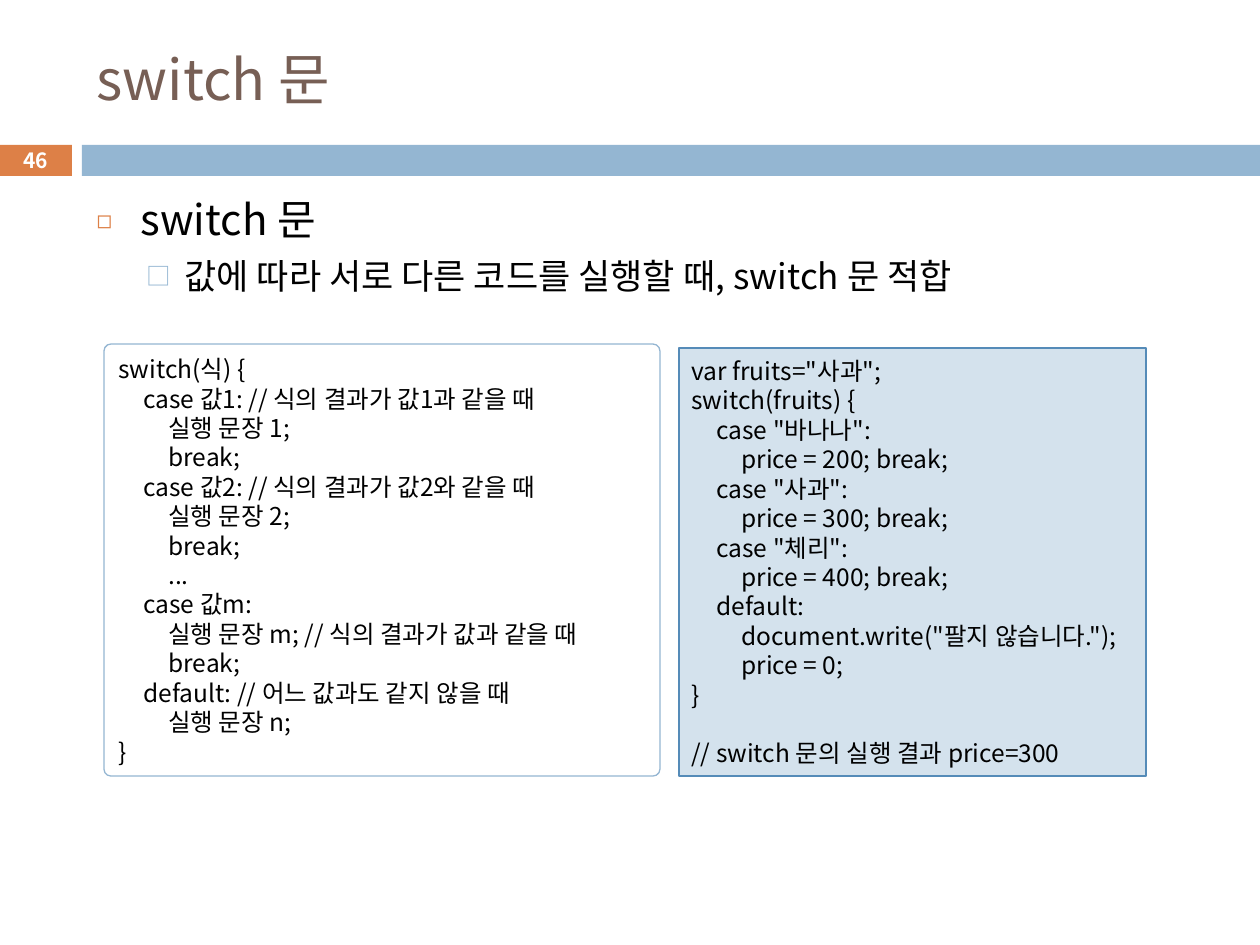
"""Build a slide that explains the switch statement with two code boxes."""
from lxml import etree
from pptx import Presentation
from pptx import util as u
from pptx.dml.color import RGBColor
from pptx.enum import shapes, text
from pptx.oxml import ns

FONT = "Noto Sans CJK KR"


def px(*values):
    return [u.Emu(round(v * 914400 / 126)) for v in values]


def style(tf, size, color="000000", bold=False):
    for p in tf.paragraphs:
        for r in p.runs:
            r.font.name, r.font.size, r.font.bold = FONT, u.Pt(size), bold
            r.font.color.rgb = RGBColor.from_string(color)
            etree.SubElement(r.font._element, ns.qn("a:ea"), typeface=FONT)


prs = Presentation()
prs.slide_width, prs.slide_height = px(1260, 945)
s = prs.slides.add_slide(prs.slide_layouts[1])

title, body = s.placeholders
title.left, title.top, title.width, title.height = px(84, 32, 1124, 93)
body.left, body.top, body.width, body.height = px(84, 185, 1124, 694)

tf = title.text_frame
tf.text = "switch 문"
tf.auto_size = text.MSO_AUTO_SIZE.NONE
tf.vertical_anchor = text.MSO_ANCHOR.MIDDLE
tf.paragraphs[0].alignment = text.PP_ALIGN.LEFT
style(tf, 32, "775F55")

tf = body.text_frame
tf.text = "switch 문\n값에 따라 서로 다른 코드를 실행할 때, switch 문 적합"
tf.auto_size = text.MSO_AUTO_SIZE.NONE
style(tf, 24)
bullets = [
    (0, 24, 30, 7, 44, 44, "◻", "DD8047", 60),
    (1, 20, 24.5, 5.5, 88, 38, "□", "94B6D2", 70),
]
for p, (level, size, line, before, margin, hang, char, color, percent) in zip(tf.paragraphs, bullets):
    p.level, p.line_spacing, p.space_before = level, u.Pt(line), u.Pt(before)
    p.runs[0].font.size = u.Pt(size)
    ppr = p._p.get_or_add_pPr()
    left, indent = px(margin, -hang)
    ppr.set("marL", str(left))
    ppr.set("indent", str(indent))
    clr = etree.SubElement(ppr, ns.qn("a:buClr"))
    etree.SubElement(clr, ns.qn("a:srgbClr"), val=color)
    etree.SubElement(ppr, ns.qn("a:buSzPct"), val=str(percent * 1000))
    etree.SubElement(ppr, ns.qn("a:buFont"), typeface=FONT)
    etree.SubElement(ppr, ns.qn("a:buChar"), char=char)

for left, width, color in [(-1, 73, "DD8047"), (82, 1178, "94B6D2")]:
    sp = s.shapes.add_shape(shapes.MSO_SHAPE.RECTANGLE, *px(left, 145, width, 31))
    sp.shadow.inherit = False
    sp.fill.solid()
    sp.fill.fore_color.rgb = RGBColor.from_string(color)
    sp.line.fill.background()

syntax = """switch(식) {
\tcase 값1: // 식의 결과가 값1과 같을 때
\t\t실행 문장 1;
\t\tbreak;
\tcase 값2: // 식의 결과가 값2와 같을 때
\t\t실행 문장 2;
\t\tbreak;
\t\t...
\tcase 값m:
\t\t실행 문장 m; // 식의 결과가 값과 같을 때
\t\tbreak;
\tdefault: // 어느 값과도 같지 않을 때
\t\t실행 문장 n;
}"""
example = """var fruits="사과";
switch(fruits) {
\tcase "바나나":
\t\tprice = 200; break;
\tcase "사과":
\t\tprice = 300; break;
\tcase "체리":
\t\tprice = 400; break;
\tdefault:
\t\tdocument.write("팔지 않습니다.");
\t\tprice = 0;
}

// switch 문의 실행 결과 price=300"""
boxes = [
    (shapes.MSO_SHAPE.ROUNDED_RECTANGLE, (104, 344, 556, 432), None, "94B6D2", syntax),
    (shapes.MSO_SHAPE.RECTANGLE, (679, 348, 467, 428), "D4E2ED", "558BB8", example),
]
for kind, place, fill, line, code in boxes:
    sp = s.shapes.add_shape(kind, *px(*place))
    sp.shadow.inherit = False
    if fill:
        sp.fill.solid()
        sp.fill.fore_color.rgb = RGBColor.from_string(fill)
    else:
        sp.fill.background()
        sp.adjustments[0] = 0.016
    sp.line.color.rgb = RGBColor.from_string(line)
    sp.line.width = u.Pt(0.75)
    tf = sp.text_frame
    tf.text = code
    tf.word_wrap = True
    tf.vertical_anchor = text.MSO_ANCHOR.MIDDLE
    style(tf, 14)
    for p in tf.paragraphs:
        p.alignment, p.line_spacing = text.PP_ALIGN.LEFT, u.Pt(16.8)
        tabs = etree.SubElement(p._p.get_or_add_pPr(), ns.qn("a:tabLst"))
        for stop in px(25, 50):
            etree.SubElement(tabs, ns.qn("a:tab"), pos=str(stop), algn="l")

sp = s.shapes.add_textbox(*px(-1, 143, 73, 34))
tf = sp.text_frame
tf.text = "46"
tf.word_wrap = True
tf.vertical_anchor = text.MSO_ANCHOR.MIDDLE
tf.margin_top = tf.margin_bottom = 0
tf.paragraphs[0].alignment = text.PP_ALIGN.CENTER
style(tf, 12, "FFFFFF", True)

prs.save("out.pptx")
